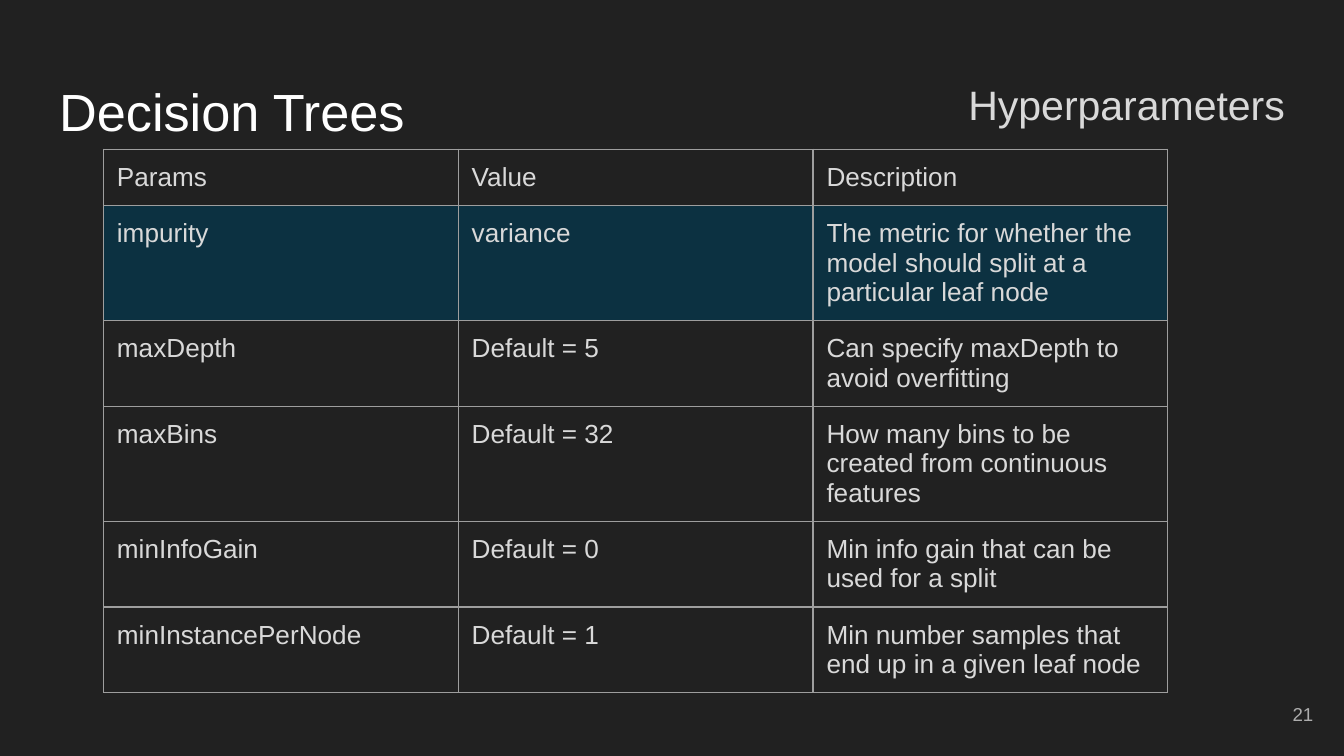
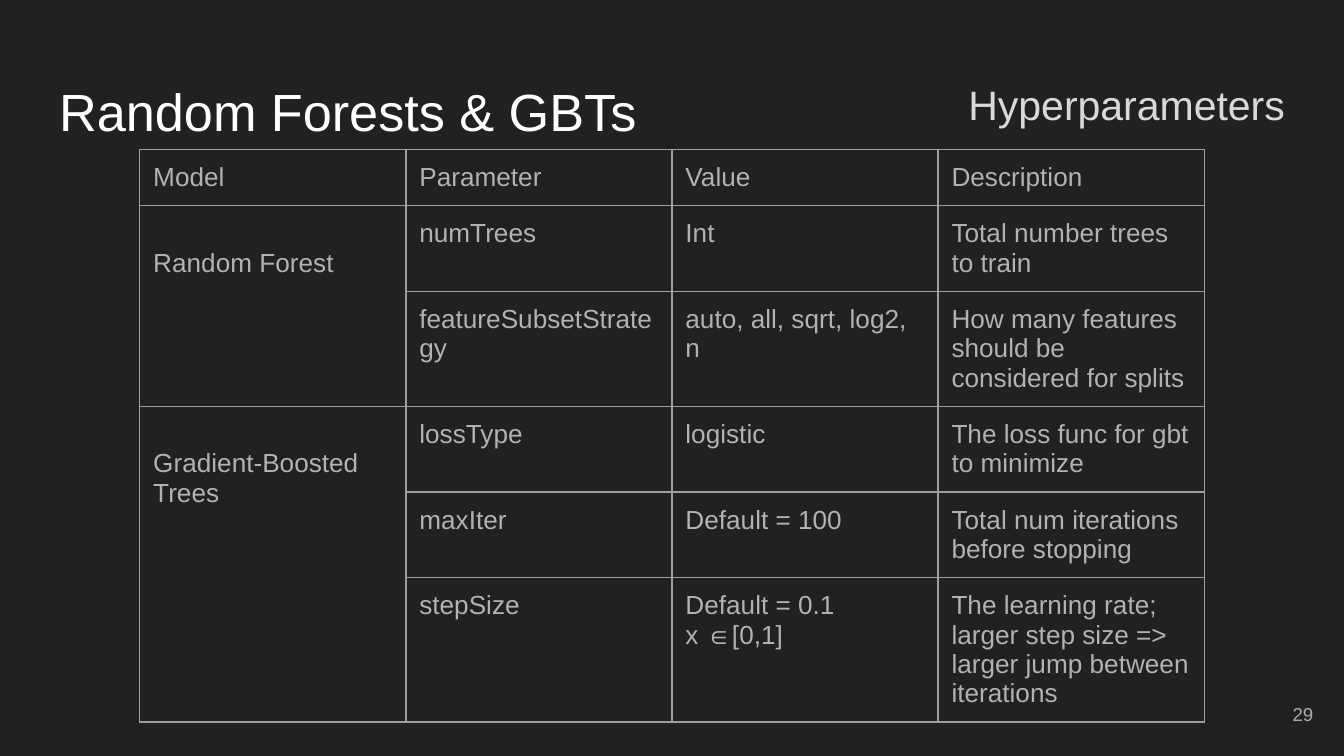
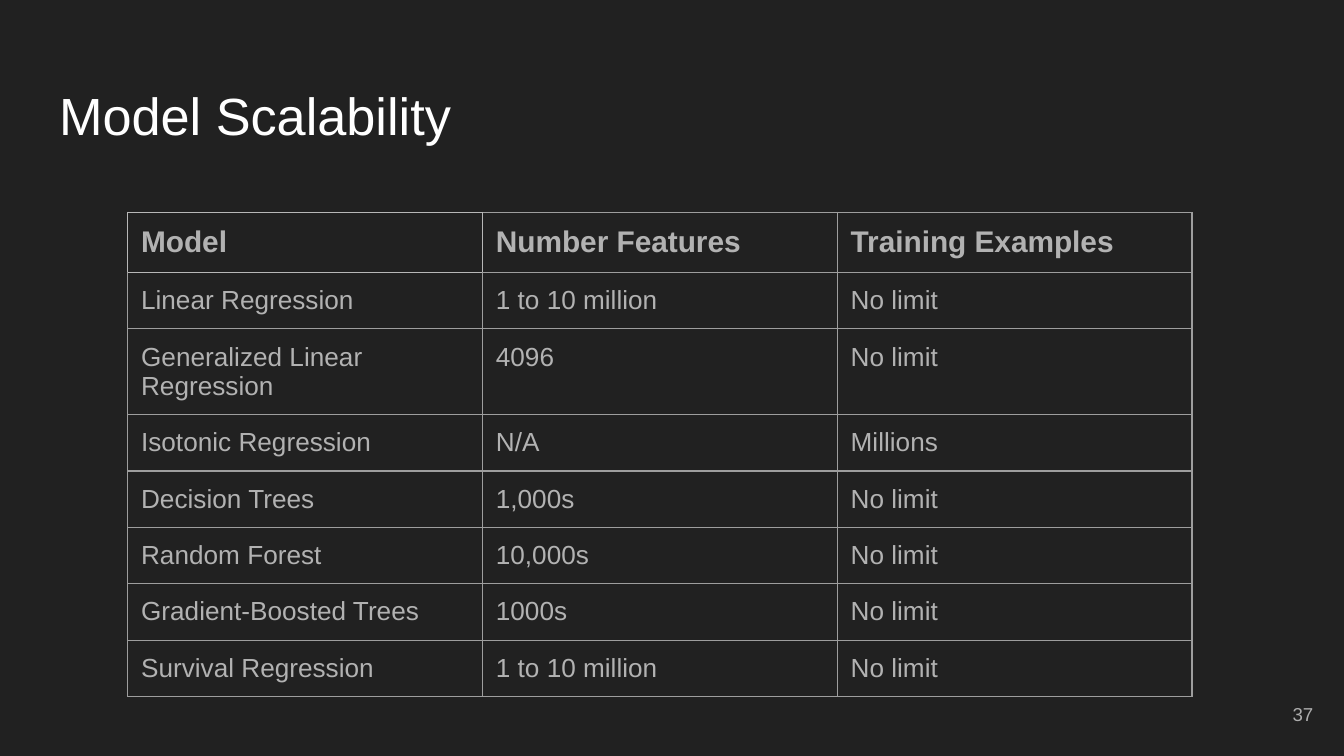
from lxml import etree
from pptx import Presentation
from pptx import util as u
from pptx.dml.color import RGBColor
from pptx.enum import text
from pptx.oxml import ns

FONT = "Arial"
BACKGROUND, WHITE = "212121", "FFFFFF"
LIGHT, GREY, NUMBER_GREY = "D9D9D9", "B2B2B2", "ADADAD"
BORDER, PALE_BORDER, HIGHLIGHT = "9E9E9E", "B7B7B7", "04384F"
INSET, ROW_HEIGHT, LINE_HEIGHT = 0.1, 0.42, 0.22
TABLE_WIDTH = 7.92

SLIDES = [
    {
        "title": "Decision Trees",
        "title_box": (0.34, 0.49, 4.66, 0.63),
        "subtitle": "Hyperparameters",
        "number": 21,
        "table_at": (0.77, 1.11),
        "color": LIGHT,
        "highlight_row": 1,
        "rows": [
            ("Params", "Value", "Description"),
            ("impurity", "variance",
             "The metric for whether the model should split at a particular leaf node"),
            ("maxDepth", "Default = 5", "Can specify maxDepth to avoid overfitting"),
            ("maxBins", "Default = 32",
             "How many bins to be created from continuous features"),
            ("minInfoGain", "Default = 0", "Min info gain that can be used for a split"),
            ("minInstancePerNode", "Default = 1",
             "Min number samples that end up in a given leaf node"),
        ],
    },
    {
        "title": "Random Forests & GBTs",
        "title_box": (0.34, 0.49, 4.66, 0.63),
        "subtitle": "Hyperparameters",
        "number": 29,
        "table_at": (1.04, 1.11),
        "color": GREY,
        "model_spans": [(1, 2), (3, 5)],
        "rows": [
            ("Model", "Parameter", "Value", "Description"),
            ("Random Forest", "numTrees", "Int", "Total number trees to train"),
            ("", "featureSubsetStrategy", "auto, all, sqrt, log2, n",
             "How many features should be considered for splits"),
            ("Gradient-Boosted Trees", "lossType", "logistic",
             "The loss func for gbt to minimize"),
            ("", "maxIter", "Default = 100", "Total num iterations before stopping"),
            ("", "stepSize", "Default = 0.1\nx ∈[0,1]",
             "The learning rate; larger step size => larger jump between iterations"),
        ],
    },
    {
        "title": "Model Scalability",
        "title_box": (0.34, 0.52, 9.32, 0.63),
        "number": 37,
        "table_at": (0.95, 1.58),
        "color": GREY,
        "header": {"size": 16, "bold": True},
        "pale_sides": {(0, 0): "LRTB", (0, 1): "L", (1, 0): "T"},
        "rows": [
            ("Model", "Number Features", "Training Examples"),
            ("Linear Regression", "1 to 10 million", "No limit"),
            ("Generalized Linear Regression", "4096", "No limit"),
            ("Isotonic Regression", "N/A", "Millions"),
            ("Decision Trees", "1,000s", "No limit"),
            ("Random Forest", "10,000s", "No limit"),
            ("Gradient-Boosted Trees", "1000s", "No limit"),
            ("Survival Regression", "1 to 10 million", "No limit"),
        ],
    },
]


def rgb(color):
    return RGBColor.from_string(color)


def write(frame, words, size=14, color=WHITE, bold=False, align=text.PP_ALIGN.LEFT):
    """Fill a text frame, one paragraph per line of words."""
    frame.word_wrap = True
    for index, line in enumerate(words.split("\n")):
        para = frame.add_paragraph() if index else frame.paragraphs[0]
        para.alignment = align
        span = para.add_run()
        span.text = line
        span.font.name = FONT
        span.font.size = u.Pt(size)
        span.font.bold = bold
        span.font.color.rgb = rgb(color)


def set_insets(holder):
    for side in ("left", "top", "right", "bottom"):
        setattr(holder, f"margin_{side}", u.Inches(INSET))


def write_box(box, words, anchor=text.MSO_ANCHOR.TOP, **style):
    frame = box.text_frame
    set_insets(frame)
    frame.auto_size = text.MSO_AUTO_SIZE.NONE
    frame.vertical_anchor = anchor
    write(frame, words, **style)


def add_label(page, place, words, **style):
    box = page.shapes.add_textbox(*map(u.Inches, place))
    write_box(box, words, align=text.PP_ALIGN.RIGHT, **style)


def add_title(page, place, words):
    title = page.shapes.title
    title.left, title.top, title.width, title.height = map(u.Inches, place)
    write_box(title, words, size=28)


def draw_borders(cell, pale_sides):
    properties = cell._tc.get_or_add_tcPr()
    for index, side in enumerate("LRTB"):
        line = etree.Element(ns.qn(f"a:ln{side}"), w=str(u.Pt(0.75)))
        fill = etree.SubElement(line, ns.qn("a:solidFill"))
        color = PALE_BORDER if side in pale_sides else BORDER
        etree.SubElement(fill, ns.qn("a:srgbClr"), val=color)
        properties.insert(index, line)


def fill_cell(cell, highlighted):
    if not highlighted:
        cell.fill.background()
        return
    cell.fill.solid()
    cell.fill.fore_color.rgb = rgb(HIGHLIGHT)
    color = cell._tc.tcPr.find(".//" + ns.qn("a:srgbClr"))
    etree.SubElement(color, ns.qn("a:alpha"), val="70000")


def add_grid(page, content):
    rows = content["rows"]
    columns = len(rows[0])
    left, top = content["table_at"]
    table = page.shapes.add_table(
        len(rows), columns, u.Inches(left), u.Inches(top),
        u.Inches(TABLE_WIDTH), u.Inches(ROW_HEIGHT * len(rows))).table
    table.first_row = table.horz_banding = False
    for column in table.columns:
        column.width = u.Inches(TABLE_WIDTH / columns)
    for row_index, row in enumerate(rows):
        table.rows[row_index].height = u.Inches(ROW_HEIGHT)
        style = content.get("header", {}) if row_index == 0 else {}
        for column_index, words in enumerate(row):
            cell = table.cell(row_index, column_index)
            set_insets(cell)
            fill_cell(cell, row_index == content.get("highlight_row"))
            draw_borders(cell, content.get("pale_sides", {}).get((row_index, column_index), ""))
            if words:
                write(cell.text_frame, words, color=content["color"], **style)
    for first, last in content.get("model_spans", []):
        model = table.cell(first, 0)
        model.merge(table.cell(last, 0))
        model.margin_top = u.Inches(INSET + LINE_HEIGHT)


def add_page(deck, content):
    page = deck.slides.add_slide(deck.slide_layouts[5])
    page.background.fill.solid()
    page.background.fill.fore_color.rgb = rgb(BACKGROUND)
    add_title(page, content["title_box"], content["title"])
    add_grid(page, content)
    if "subtitle" in content:
        add_label(page, (5.59, 0.49, 4.07, 0.63), content["subtitle"], size=22, color=LIGHT)
    add_label(page, (9.27, 5.1, 0.6, 0.43), str(content["number"]),
              size=10, color=NUMBER_GREY, anchor=text.MSO_ANCHOR.MIDDLE)


def main():
    deck = Presentation()
    deck.slide_width = u.Inches(10)
    deck.slide_height = deck.slide_width * 9 // 16
    for content in SLIDES:
        add_page(deck, content)
    deck.save("out.pptx")


if __name__ == "__main__":
    main()
